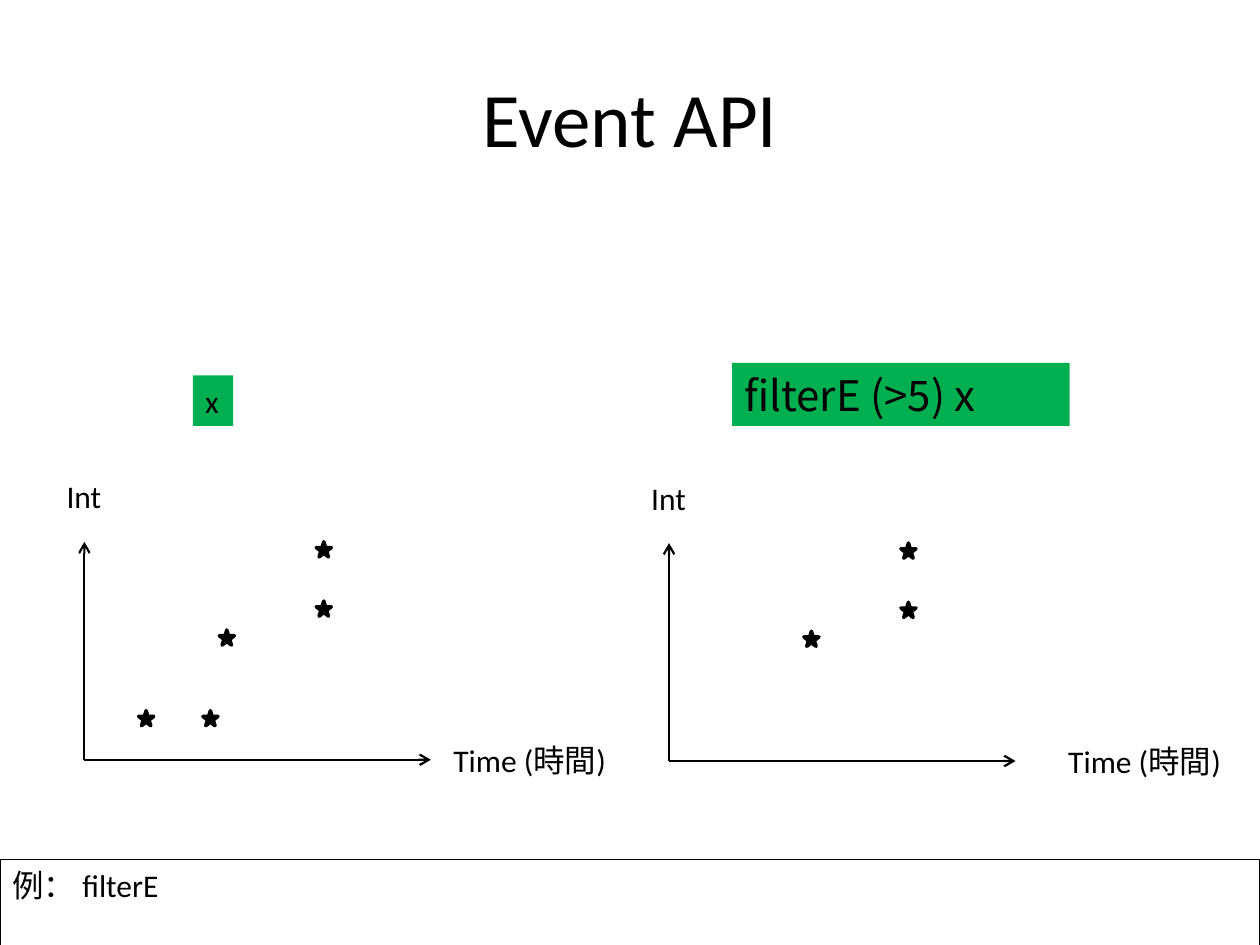
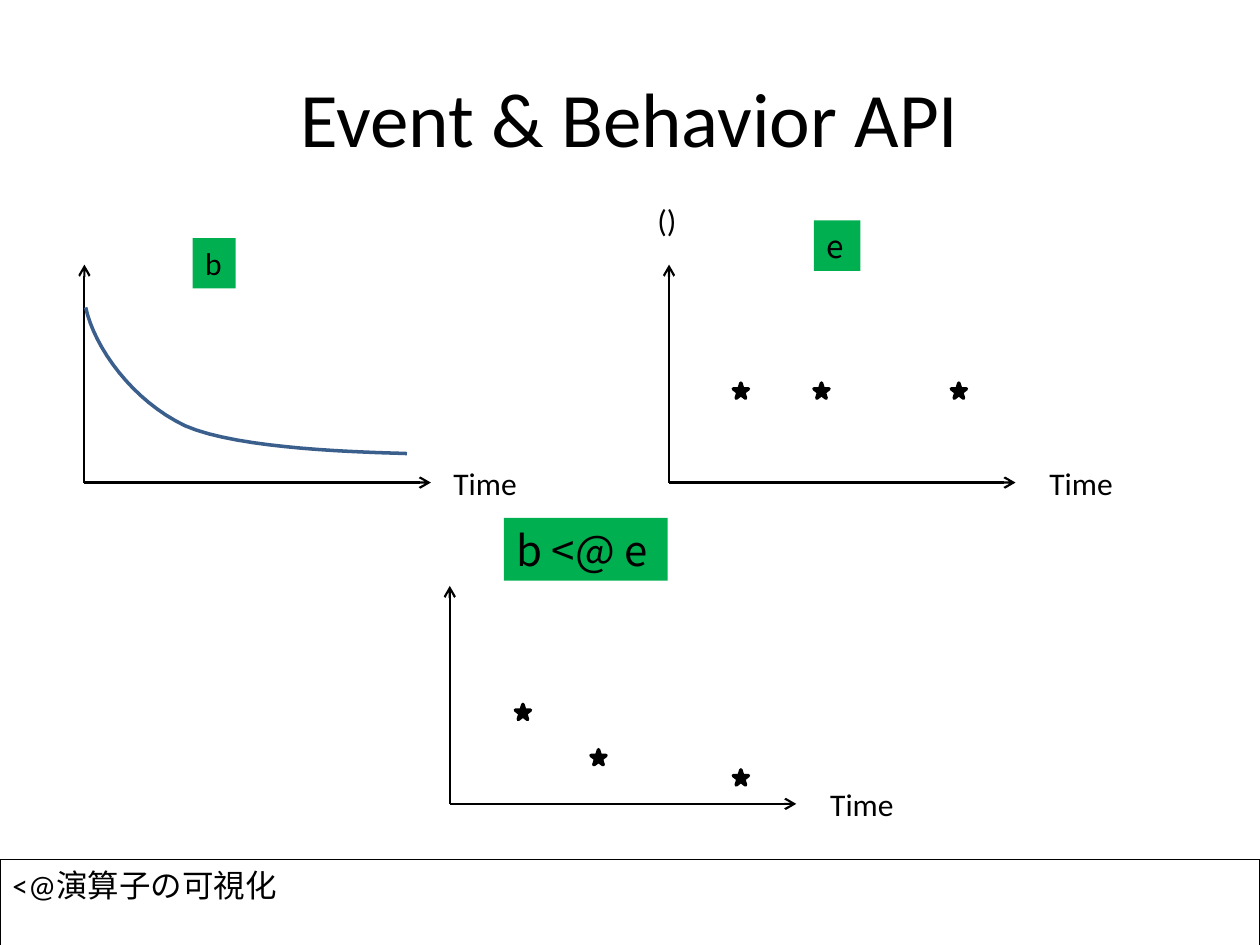
"""Builds two slides that plot an event filter and the apply operator."""
from lxml.etree import SubElement
from pptx import Presentation
from pptx.dml.color import RGBColor
from pptx.enum.shapes import MSO_CONNECTOR as CONNECTOR, MSO_SHAPE as SHAPE
from pptx.enum.text import MSO_ANCHOR as ANCHOR, MSO_AUTO_SIZE as AUTO, PP_ALIGN as ALIGN
from pptx.oxml.ns import qn
from pptx.util import Inches, Pt

COLORS = {"ink": "000000", "tag": "00B050", "curve": "3A5F8C"}
BODY, CODE = "Calibri", "Noto Sans CJK JP"
COLUMNS, ROWS = 100, 75
AXIS_WIDTH, AXIS_HEIGHT, STAR = 27.5, 17.3, 1.2
LABEL_HEIGHT, TIME_LIFT = 4, 2


def color(name):
    return RGBColor.from_string(COLORS[name])


def bezier(start, first, second, end, steps=16):
    points = []
    for step in range(1, steps + 1):
        t = step / steps
        weights = ((1 - t) ** 3, 3 * t * (1 - t) ** 2, 3 * t * t * (1 - t), t ** 3)
        points.append(tuple(sum(w * p[axis] for w, p in zip(weights, (start, first, second, end)))
                            for axis in (0, 1)))
    return points


class Deck:
    def __init__(self):
        self.presentation = Presentation()
        self.presentation.slide_width = Inches(10)
        self.presentation.slide_height = Inches(7.5)
        self.slide = None

    def place(self, column, row):
        return (round(self.presentation.slide_width * column / COLUMNS),
                round(self.presentation.slide_height * row / ROWS))

    def box(self, left, top, width, height):
        return (*self.place(left, top), *self.place(width, height))

    def add_text(self, frame, text, size=18, font=BODY):
        run = frame.paragraphs[0].add_run()
        run.text = text
        run.font.size, run.font.name = Pt(size), font
        run.font.color.rgb = color("ink")
        SubElement(run.font._element, qn("a:ea")).set("typeface", CODE)

    def start(self, title, footer):
        self.slide = self.presentation.slides.add_slide(self.presentation.slide_layouts[5])
        shape = self.slide.shapes.title
        shape.left, shape.top, shape.width, shape.height = self.box(5, 3, 90, 12.5)
        shape.text_frame.vertical_anchor = ANCHOR.MIDDLE
        shape.text_frame.paragraphs[0].alignment = ALIGN.CENTER
        self.add_text(shape.text_frame, title, 44)
        self.footer(footer)

    def shape(self, kind, box, fill=None, line=None, weight=1):
        shape = self.slide.shapes.add_shape(kind, *self.box(*box))
        shape.shadow.inherit = False
        if fill:
            shape.fill.solid()
            shape.fill.fore_color.rgb = color(fill)
        else:
            shape.fill.background()
        if line:
            shape.line.color.rgb = color(line)
            shape.line.width = Pt(weight)
        else:
            shape.line.fill.background()
        return shape

    def footer(self, text):
        frame = self.shape(SHAPE.RECTANGLE, (0, 68.2, 100, 7.1), None, "ink", 0.75).text_frame
        frame.word_wrap, frame.vertical_anchor = True, ANCHOR.TOP
        frame.paragraphs[0].alignment = ALIGN.LEFT
        self.add_text(frame, text)

    def tag(self, text, box, size=18, font=CODE):
        frame = self.shape(SHAPE.RECTANGLE, box, "tag").text_frame
        frame.word_wrap, frame.auto_size = font == CODE, AUTO.SHAPE_TO_FIT_TEXT
        frame.vertical_anchor = ANCHOR.TOP
        frame.paragraphs[0].alignment = ALIGN.LEFT
        self.add_text(frame, text, size, font)

    def label(self, text, left, top, width, wrap=False):
        frame = self.slide.shapes.add_textbox(*self.box(left, top, width, LABEL_HEIGHT)).text_frame
        frame.word_wrap, frame.auto_size = wrap, AUTO.SHAPE_TO_FIT_TEXT
        self.add_text(frame, text)

    def arrow(self, start, end):
        connector = self.slide.shapes.add_connector(
            CONNECTOR.STRAIGHT, *self.place(*start), *self.place(*end))
        connector.line.color.rgb = color("ink")
        connector.line.width = Pt(1.25)
        properties = connector._element.spPr
        SubElement(properties.find(qn("a:ln")), qn("a:tailEnd")).set("type", "arrow")
        SubElement(properties, qn("a:effectLst"))

    def plot(self, origin, events=(), time="Time", time_offset=28.3, time_width=7.1):
        x, y = origin
        self.arrow(origin, (x, y - AXIS_HEIGHT))
        self.arrow(origin, (x + AXIS_WIDTH, y))
        self.label(time, x + time_offset, y - TIME_LIFT, time_width, wrap=time != "Time")
        for moment, value in events:
            self.shape(SHAPE.STAR_5_POINT, (x + moment, y - value, STAR, STAR), "ink", "ink", 2)

    def curve(self, start, segments):
        builder = self.slide.shapes.build_freeform(*self.place(*start))
        for first, second, end in segments:
            points = bezier(start, first, second, end)
            builder.add_line_segments([self.place(*point) for point in points], close=False)
            start = end
        shape = builder.convert_to_shape()
        shape.shadow.inherit = False
        shape.fill.background()
        shape.line.color.rgb = color("curve")
        shape.line.width = Pt(2)


deck = Deck()

deck.start("Event API", "例： filterE")
events = [(4.3, 3.9), (9.4, 3.9), (10.7, 10.3), (18.4, 12.6), (18.4, 17.3)]
large_events = [event for event in events if event[1] > 5]
for origin, shown, time_offset in (((6.7, 60.3), events, 28.3),
                                   ((53.1, 60.4), large_events, 30.7)):
    deck.plot(origin, shown, "Time (時間)", time_offset, 14.3)
    deck.label("Int", origin[0] - 2.4, origin[1] - 22.9, 4.8)
deck.tag("x", (15.3, 29.8, 3.2, 4), font=BODY)
deck.tag("filterE (>5) x", (58.1, 28.8, 26.8, 5), 24)

deck.start("Event & Behavior API", "<@演算子の可視化")
deck.plot((6.7, 38.3))
deck.curve((6.8, 24.4), [((7.5, 27.6), (10.5, 31.8), (14.7, 33.8)),
                         ((19, 35.7), (29.2, 35.9), (32.3, 36))])
deck.plot((53.1, 38.3), [(moment, 7.9) for moment in (5.1, 11.5, 22.4)], time_offset=29.2)
deck.label("()", 51.2, 15.5, 3.6)
deck.plot((35.7, 63.8), [(5.2, 7.9), (11.2, 4.3), (22.5, 2.7)], time_offset=29.2)
deck.tag("b", (15.3, 18.9, 3.4, 4), font=BODY)
deck.tag("e", (64.6, 17.5, 3.7, 4))
deck.tag("b <@ e", (40, 41.1, 13, 5), 24)

deck.presentation.save("out.pptx")
